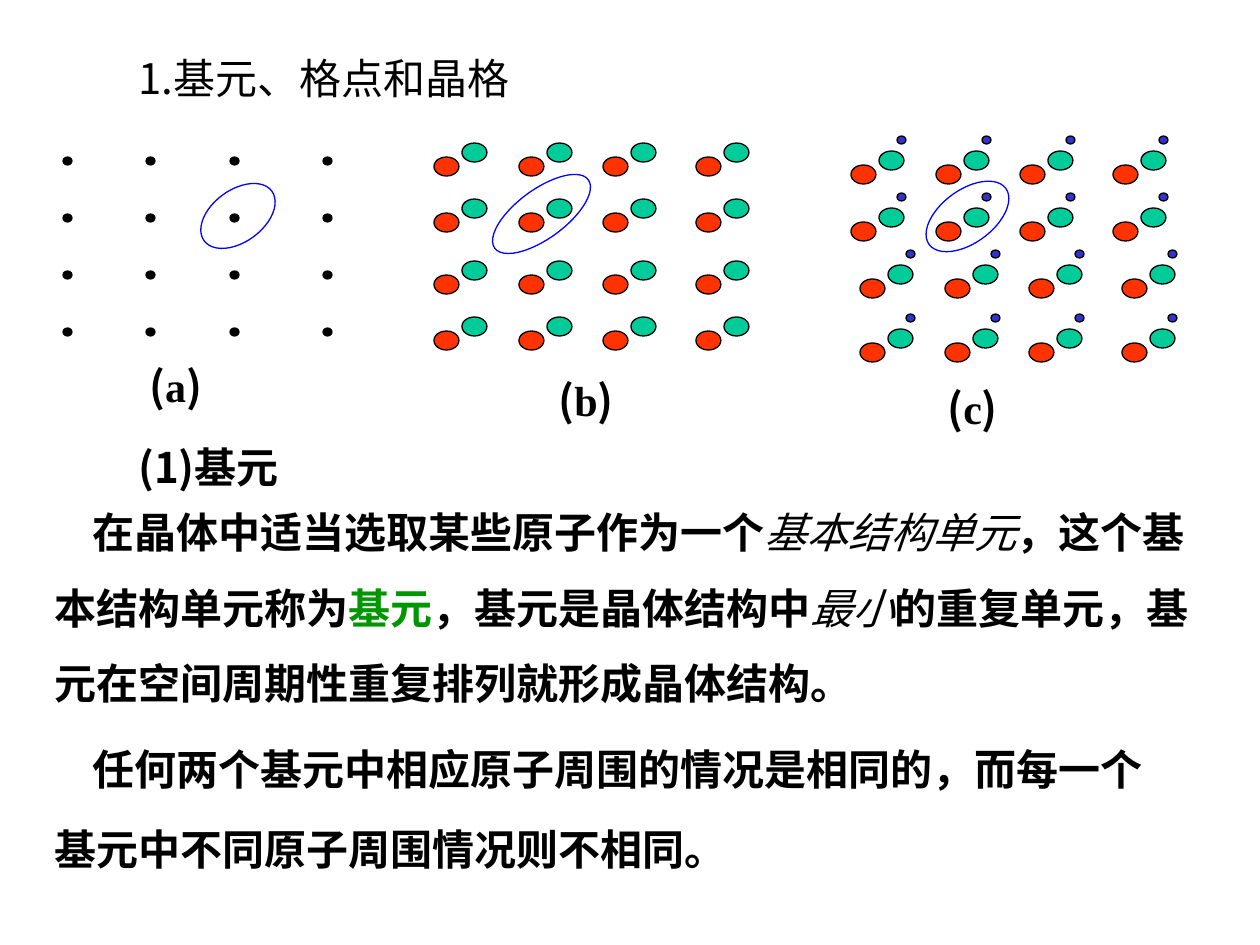
import pptx
import pptx.dml.color
import pptx.enum.shapes
import pptx.util
from lxml import etree

RGB = pptx.dml.color.RGBColor
BLACK = RGB(0, 0, 0)
GREEN = RGB(0x00, 0x96, 0x00)
TEAL = RGB(0x00, 0xCC, 0x99)
RED = RGB(0xFF, 0x33, 0x00)
INDIGO = RGB(0x33, 0x33, 0xCC)
BLUE = RGB(0x00, 0x00, 0xFF)

SANS = "Noto Sans CJK SC"
SERIF = "Times New Roman"
A = "http://schemas.openxmlformats.org/drawingml/2006/main"

# Atom kinds: dx, dy, width, height, colour
POINT = (0, 0, 9, 8, BLACK)
RED_ATOM = (0, 0, 25, 19, RED)
TEAL_ATOM = (28, -14, 25, 19, TEAL)
SMALL_ATOM = (46, -29, 9, 8, INDIGO)


def px(n):
    return pptx.util.Emu(round(n * 914400 / 126))


def add_oval(shapes, box, fill=None, line=BLACK, rotation=0):
    sp = shapes.add_shape(pptx.enum.shapes.MSO_SHAPE.OVAL, *map(px, box))
    sp.shadow.inherit = False
    if fill is None:
        sp.fill.background()
    else:
        sp.fill.solid()
        sp.fill.fore_color.rgb = fill
    sp.line.color.rgb = line
    sp.line.width = pptx.util.Pt(0.75)
    sp.rotation = rotation


def add_run(p, text, font=SANS, bold=True, italic=False, color=BLACK):
    r = p.add_run()
    r.text = text
    r.font.size = pptx.util.Pt(24)
    r.font.bold = bold
    r.font.italic = italic
    r.font.color.rgb = color
    r.font.name = font
    etree.SubElement(r.font._element, f"{{{A}}}ea", typeface=font)


def add_text(shapes, box, runs, spacing=29, indent=0):
    """Add a one-paragraph text box; each run is (text, run options)."""
    tf = shapes.add_textbox(*map(px, box)).text_frame
    tf.word_wrap = True
    tf.margin_top = px(10)
    p = tf.paragraphs[0]
    p.line_spacing = pptx.util.Pt(spacing)
    if indent:
        p._p.get_or_add_pPr().set("indent", str(px(indent)))
    for text, options in runs:
        add_run(p, text, **options)


def add_lattice(s, origin, columns, rows, atoms, ring, letter, label, shifts=(0,) * 4):
    """Draw a lattice at origin; ring and label boxes are relative to it."""
    left, top = origin
    shapes = s.shapes.add_group_shape().shapes
    for row, shift in zip(rows, shifts):
        for dx, dy, w, h, color in atoms:
            for column in columns:
                add_oval(shapes, (left + column + shift + dx, top + row + dy, w, h), color)
    x, y, w, h = label
    add_text(shapes, (left + x, top + y, w, h),
             [("(", {}), (letter, {"font": SERIF}), (")", {})])
    x, y, w, h = ring
    add_oval(s.shapes, (left + x, top + y, w, h), line=BLUE, rotation=53.8)


def add_lattices(s):
    add_lattice(s, (63, 157), (0, 83, 167, 260), (0, 57, 114, 171), [POINT],
                (149, 17, 52, 84), "a", (74, 193, 140, 63))
    add_lattice(s, (434, 157), (0, 85, 169, 262), (0, 56, 118, 174),
                [TEAL_ATOM, RED_ATOM], (83, -1, 49, 116), "b", (112, 207, 93, 63))
    add_lattice(s, (851, 165), (0, 85, 169, 262), (0, 57, 114, 178),
                [TEAL_ATOM, RED_ATOM, SMALL_ATOM], (90, 4, 53, 95), "c",
                (84, 207, 121, 63), shifts=(0, 0, 9, 9))


def add_definition(s, box):
    left, top, width = box
    italic = {"bold": False, "italic": True}
    add_text(s.shapes, (left + 84, top, 252, 63), [("(1)基元", {})])
    add_text(s.shapes, (left, top + 41, width, 239), [
        ("在晶体中适当选取某些原子作为一个", {}),
        ("基本结构单元", italic),
        ("，这个基本结构单元称为", {}),
        ("基元", {"color": GREEN}),
        ("，基元是晶体结构中", {}),
        ("最小", italic),
        ("的重复单元，基元在空间周期性重复排列就形成晶体结构。", {}),
    ], spacing=43, indent=38)
    add_text(s.shapes, (left, top + 272, width - 32, 174), [
        ("任何两个基元中相应原子周围的情况是相同的，而每一个基元中不同原子周围情况则不相同。", {}),
    ], spacing=46, indent=38)


def main():
    prs = pptx.Presentation()
    prs.slide_width, prs.slide_height = px(1260), px(945)
    s = prs.slides.add_slide(prs.slide_layouts[6])
    add_text(s.shapes, (126, 42, 672, 63), [("1.基元、格点和晶格", {"bold": False})])
    add_lattices(s)
    add_definition(s, (42, 431, 1176))
    prs.save("out.pptx")


if __name__ == "__main__":
    main()
